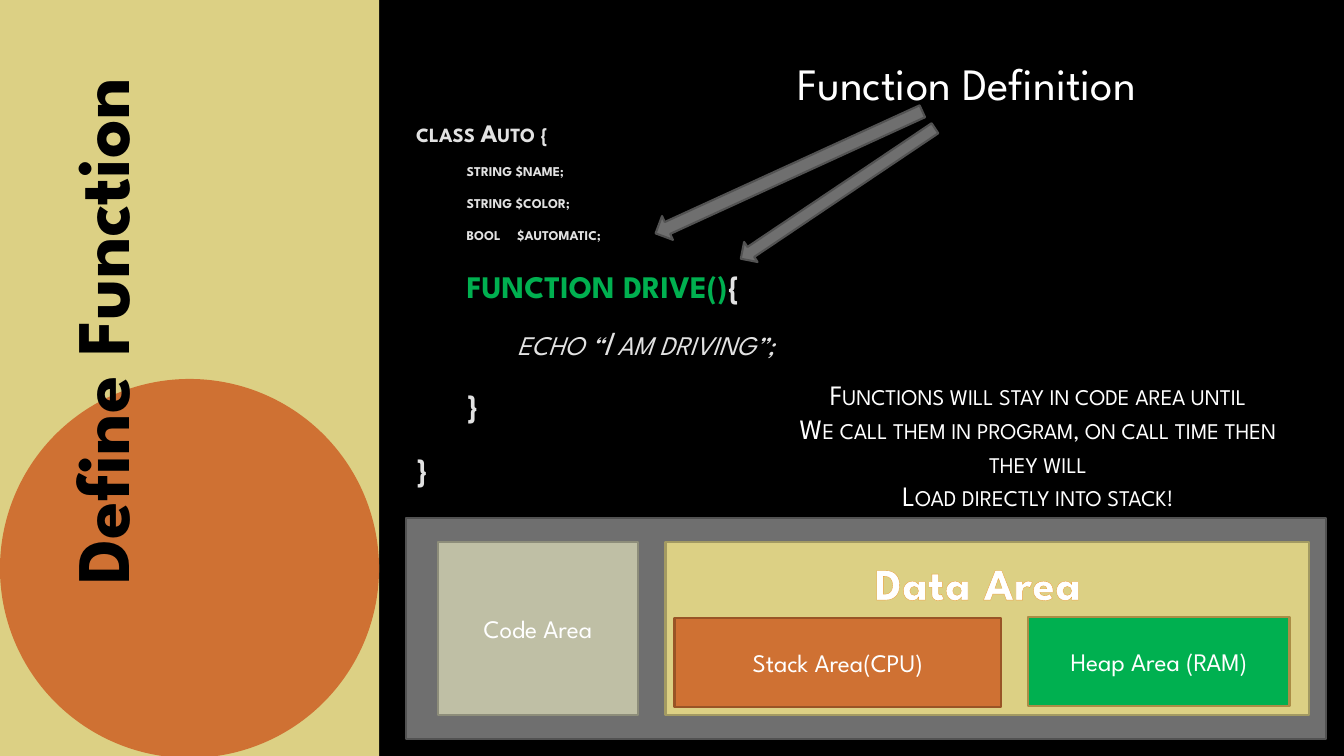
from lxml import etree
from pptx import Presentation
from pptx.dml import color
from pptx.enum import shapes, text
from pptx.oxml import ns
from pptx.util import Inches, Pt

FONT = "League Spartan"
KINDS = shapes.MSO_SHAPE
CENTER = {"alignment": text.PP_ALIGN.CENTER}
CODE = [
    [("class Auto {", {"size": 18})],
    [("\tstring $name;", {"size": 12})],
    [("\tstring $color;", {"size": 12})],
    [("\tbool\t$automatic;", {"size": 12})],
    [("\tfunction drive()", {"size": 28, "color": "00B050"}), ("{", {"size": 28})],
    [("\t\techo “I am driving”;", {"size": 24, "bold": False, "italic": True})],
    [("\t}", {"size": 28})],
    [("}", {"size": 28})],
]
NOTE = [
    "Functions will stay in code area until",
    "We call them in program, on call time then they will",
    "Load directly into stack!",
]


def rgb(value):
    """Return the colour for a hex string."""
    return color.RGBColor.from_string(value)


def assign(obj, values):
    """Set every attribute named in a dict of format values."""
    for name, value in values.items():
        setattr(obj, name, value)


def add_run(p, words, size, color="FFFFFF", caps=False, outline=None, spacing=0, **style):
    """Add a formatted run to a paragraph."""
    r = p.add_run()
    r.text = words
    assign(r.font, {"name": FONT, "size": Pt(size), **style})
    r.font.color.rgb = rgb(color)
    props = r.font._element
    if caps:
        props.set("cap", "small")
    if spacing:
        props.set("spc", str(spacing))
    if outline:
        edge, width = outline
        ln = etree.Element(ns.qn("a:ln"), w=str(Pt(width)))
        fill = etree.SubElement(ln, ns.qn("a:solidFill"))
        etree.SubElement(fill, ns.qn("a:srgbClr"), val=edge)
        props.insert(0, ln)


def add_lines(tf, lines, **style):
    """Write centred lines of one style into a text frame."""
    for i, words in enumerate(lines):
        p = tf.add_paragraph() if i else tf.paragraphs[0]
        assign(p, CENTER)
        add_run(p, words, **style)


def add_text(parent, box):
    """Add a wrapping text box and return its text frame."""
    tf = parent.add_textbox(*map(Inches, box)).text_frame
    tf.word_wrap = True
    return tf


def add_block(parent, kind, box, fill, line=None, label=None, rotation=0):
    """Add a filled shape with an optional outline and label."""
    sp = parent.add_shape(kind, *map(Inches, box))
    sp.shadow.inherit = False
    sp.rotation = rotation
    sp.fill.solid()
    sp.fill.fore_color.rgb = rgb(fill)
    if line:
        sp.line.color.rgb = rgb(line)
        sp.line.width = Pt(1.5)
    else:
        sp.line.fill.background()
    if label:
        sp.text_frame.vertical_anchor = text.MSO_ANCHOR.MIDDLE
        add_lines(sp.text_frame, [label], size=18)


def add_title_panel(s, x, y, w, h):
    """Draw the side panel with its circle and upright title."""
    add_block(s.shapes, KINDS.RECTANGLE, (x, y, w, h), "DCD084")
    add_block(s.shapes, KINDS.OVAL, (x, y + w, w, w), "CF7133")
    title = s.shapes.title
    title.element.getparent().append(title.element)
    assign(title, {
        "left": Inches(x - 1.95), "top": Inches(y + 2.78),
        "width": Inches(5.87), "height": Inches(1.01), "rotation": 270,
    })
    tf = title.text_frame
    assign(tf, {
        "word_wrap": False, "vertical_anchor": text.MSO_ANCHOR.TOP,
        "auto_size": text.MSO_AUTO_SIZE.NONE,
    })
    add_lines(tf, ["Define Function"], size=54, color="000000", bold=True,
              outline=("BFBFA5", 1.75))


def add_code(s, x, y, w, h):
    """Write the class listing with half-inch tab stops."""
    tf = add_text(s.shapes, (x, y, w, h))
    tf.vertical_anchor = text.MSO_ANCHOR.BOTTOM
    for i, runs in enumerate(CODE):
        p = tf.add_paragraph() if i else tf.paragraphs[0]
        size = runs[0][1]["size"]
        assign(p, {
            "alignment": text.PP_ALIGN.JUSTIFY,
            "space_before": Pt(0.2 * size), "space_after": Pt(6),
        })
        tabs = etree.SubElement(p._p.get_or_add_pPr(), ns.qn("a:tabLst"))
        for stop in (0.5, 1):
            etree.SubElement(tabs, ns.qn("a:tab"), pos=str(Inches(stop)), algn="l")
        for words, style in runs:
            add_run(p, words, **{"color": "E2E2E2", "bold": True, "caps": True, **style})


def add_callout(s, x, y, w, h):
    """Label the function definition and point two arrows at it."""
    add_lines(add_text(s.shapes, (x, y, w, h)), ["Function Definition"], size=32)
    arrows = [((x - 0.91, y + 1.08, 2.91, 0.26), 335.4),
              ((x - 0.13, y + 1.3, 2.32, 0.24), 326.1)]
    for box, rotation in arrows:
        add_block(s.shapes, KINDS.LEFT_ARROW, box, "6F6F6F", "525252", rotation=rotation)


def add_note(s, x, y, w, h):
    """Write the remark about where functions stay."""
    add_lines(add_text(s.shapes, (x, y, w, h)), NOTE, size=20, caps=True)


def add_memory(s, x, y, w, h):
    """Draw the grouped memory areas."""
    group = s.shapes.add_group_shape().shapes
    areas = [
        ((x, y, w, h), "6F6F6F", "525252", None),
        ((x + 0.31, y + 0.24, 1.99, 1.71), "BFBFA5", "8D8D7A", "Code Area"),
        ((x + 2.57, y + 0.24, 6.38, 1.71), "DCD084", "A39A62", None),
        ((x + 6.17, y + 0.98, 2.59, 0.88), "00B050", "AB8D46", "Heap Area (RAM)"),
        ((x + 2.66, y + 0.99, 3.24, 0.88), "CF7133", "995426", "Stack Area(CPU)"),
    ]
    for box, fill, line, label in areas:
        add_block(group, KINDS.RECTANGLE, box, fill, line, label)
    tf = add_text(group, (x + 4.56, y + 0.32, 2.22, 0.64))
    assign(tf, {"margin_left": 0, "margin_right": 0})
    add_lines(tf, ["Data Area"], size=32, bold=True, spacing=50, outline=("E9A039", 0.8))


def main():
    """Build and save the slide."""
    prs = Presentation()
    prs.slide_width, prs.slide_height = Inches(13.33), Inches(7.5)
    s = prs.slides.add_slide(prs.slide_layouts[5])
    s.background.fill.solid()
    s.background.fill.fore_color.rgb = rgb("000000")
    add_title_panel(s, 0, 0, 3.76, 7.5)
    add_code(s, 4.03, 0.86, 5.02, 4.04)
    add_callout(s, 7.28, 0.5, 4.62, 0.64)
    add_note(s, 7.58, 3.7, 5.43, 1.45)
    add_memory(s, 4.03, 5.14, 9.12, 2.19)
    prs.save("out.pptx")


if __name__ == "__main__":
    main()
